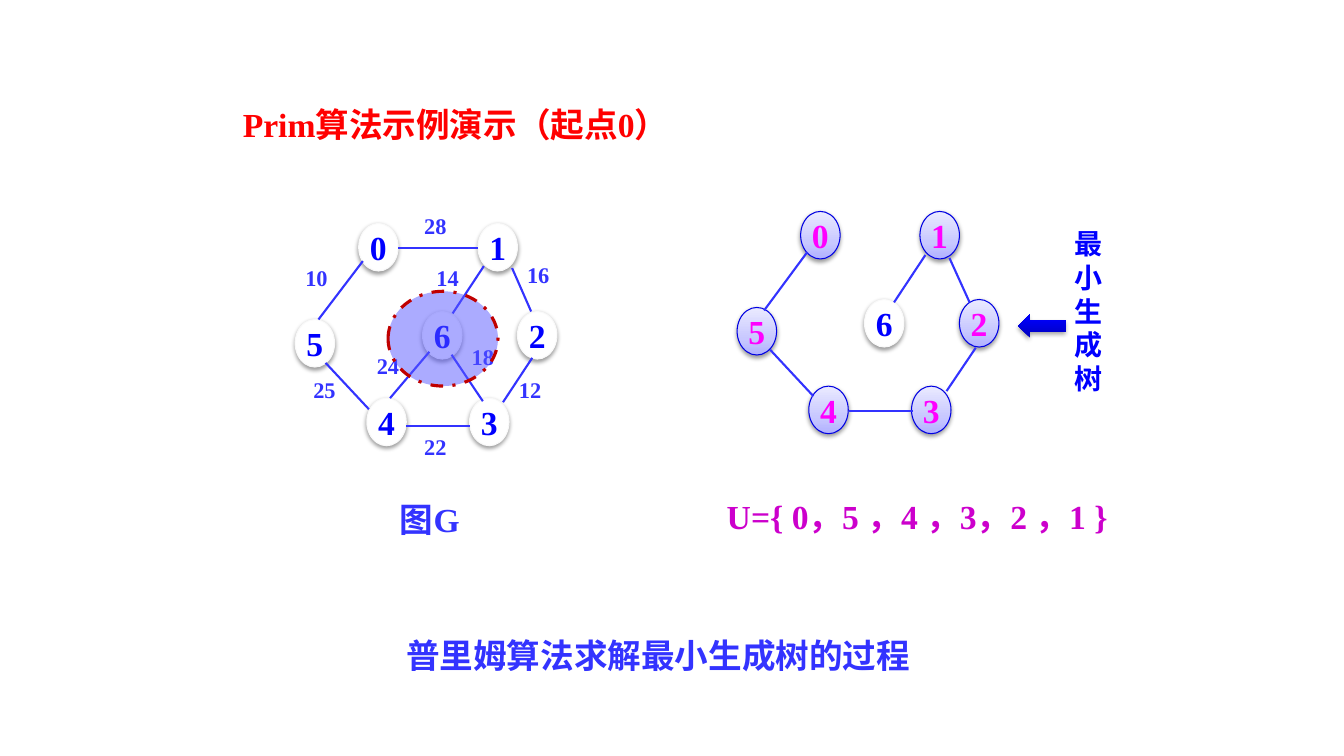
"""Build a slide that shows Prim's algorithm growing a minimum spanning tree."""
from typing import NamedTuple, Optional

import pptx
import pptx.dml.color
import pptx.enum.dml
import pptx.enum.shapes
import pptx.enum.text
import pptx.oxml
import pptx.oxml.ns
import pptx.util

Pt = pptx.util.Pt
SHAPE = pptx.enum.shapes.MSO_SHAPE
ALIGN = pptx.enum.text.PP_ALIGN
ANCHOR = pptx.enum.text.MSO_ANCHOR

FONT = "Times New Roman"
BLUE = "3333FF"
NODE_WIDTH, NODE_HEIGHT = 28.2, 34
TREE_SHIFT = (315.7, -8.6)
DRAWING = pptx.oxml.ns.nsdecls("a")


class Node(NamedTuple):
    name: str
    left: float
    top: float


class Edge(NamedTuple):
    x1: float
    y1: float
    x2: float
    y2: float


class Label(NamedTuple):
    text: str
    left: float
    top: float
    width: float = 39.6
    height: float = 26.6
    size: float = 16
    color: str = BLUE
    inset: Optional[float] = None


class NodeStyle(NamedTuple):
    line: str
    text: str
    stops: tuple


PLAIN = NodeStyle("F9F9F9", "0000FF", ((0, "FFFFFF"), (100, "FFFFFF")))
CHOSEN = NodeStyle("0000E2", "FF00FF", ((0, "B1B1FF"), (35, "C8C8FF"), (100, "EAEAFF")))
ARROW_STOPS = ((0, "0000BE"), (80, "0000F7"), (100, "0000F8"))

NODES = [
    Node("0", 256.2, 159.6), Node("1", 341.4, 159.6), Node("5", 210.8, 228.2),
    Node("4", 262, 284.4), Node("3", 335.4, 284.4), Node("6", 301.8, 222.5),
    Node("2", 369.6, 222.5),
]
GRAPH_EDGES = [
    Edge(284.4, 177.1, 341.3, 177.1), Edge(259.2, 186.5, 227.5, 228.2),
    Edge(232.6, 259.2, 263.5, 292.3), Edge(290.2, 304.6, 335.5, 304.6),
    Edge(278.6, 284.4, 306.7, 251.3), Edge(322.6, 253.4, 344.9, 286.6),
    Edge(345.6, 190.1, 323.3, 223.9), Edge(365.8, 191.5, 379.4, 222.5),
    Edge(380.2, 255.6, 359.3, 287.3),
]
TREE_EDGES = [
    Edge(576.7, 180, 545.8, 221.8), Edge(550.1, 249.8, 581, 283),
    Edge(606.2, 293.8, 652.3, 293.8), Edge(697, 248.4, 676.1, 279.4),
    Edge(678.2, 184.3, 692.6, 216), Edge(661, 182.2, 638.6, 216),
]
LABELS = [
    Label("28", 295.9, 148.3), Label("10", 211, 185), Label("16", 369.4, 182.9),
    Label("14", 304.6, 185), Label("25", 216.7, 265), Label("24", 262.1, 247.7),
    Label("18", 329.8, 241.9), Label("22", 295.9, 306), Label("12", 363.6, 265),
    Label("图G", 278.6, 352.8, 73.4, 36, 24),
    Label("普里姆算法求解最小生成树的过程", 283, 450, 388, 36, 24),
    Label("U={ 0，5 ，4 ，3，2 ，1 }", 519.1, 354.2, 281.5, 28.8, 24, "CC00CC", 0),
]


def rgb(color: str) -> pptx.dml.color.RGBColor:
    return pptx.dml.color.RGBColor.from_string(color)


def style(para, size: float, color: str, align=ALIGN.LEFT) -> None:
    para.alignment = align
    para.font.name = FONT
    para.font.size = Pt(size)
    para.font.bold = True
    para.font.color.rgb = rgb(color)


def add_shape(page, kind, left: float, top: float, width: float, height: float):
    shape = page.shapes.add_shape(kind, Pt(left), Pt(top), Pt(width), Pt(height))
    shape.shadow.inherit = False
    return shape


def set_gradient(shape, stops: tuple) -> None:
    marks = "".join(
        f'<a:gs pos="{place * 1000}"><a:srgbClr val="{color}"/></a:gs>' for place, color in stops
    )
    shape.fill.gradient()
    gradient = shape._element.spPr.find(pptx.oxml.ns.qn("a:gradFill"))
    old_stops = gradient.find(pptx.oxml.ns.qn("a:gsLst"))
    gradient.replace(old_stops, pptx.oxml.parse_xml(f"<a:gsLst {DRAWING}>{marks}</a:gsLst>"))
    shape.fill.gradient_angle = 90


def set_shadow(shape, distance: float, opacity: int) -> None:
    effects = shape._element.spPr.find(pptx.oxml.ns.qn("a:effectLst"))
    effects.append(pptx.oxml.parse_xml(
        f'<a:outerShdw {DRAWING} blurRad="{Pt(3.1)}" dist="{Pt(distance)}" dir="5400000" '
        f'rotWithShape="0"><a:srgbClr val="000000"><a:alpha val="{opacity * 1000}"/>'
        "</a:srgbClr></a:outerShdw>"
    ))


def add_node(page, node: Node, look: NodeStyle, shift: tuple = (0, 0)) -> None:
    left, top = node.left + shift[0], node.top + shift[1]
    circle = add_shape(page, SHAPE.OVAL, left, top, NODE_WIDTH, NODE_HEIGHT)
    set_gradient(circle, look.stops)
    circle.line.color.rgb = rgb(look.line)
    circle.line.width = Pt(0.75)
    set_shadow(circle, 1.6, 38)
    circle.text_frame.word_wrap = False
    circle.text_frame.vertical_anchor = ANCHOR.MIDDLE
    circle.text_frame.text = node.name
    style(circle.text_frame.paragraphs[0], 24, look.text, ALIGN.CENTER)


def add_edge(page, edge: Edge) -> None:
    line = page.shapes.add_connector(
        pptx.enum.shapes.MSO_CONNECTOR.STRAIGHT, *(Pt(value) for value in edge)
    )
    line.line.color.rgb = rgb(BLUE)
    line.line.width = Pt(1.5)
    line._element.spPr.append(pptx.oxml.parse_xml(f"<a:effectLst {DRAWING}/>"))


def add_label(page, label: Label) -> None:
    box = page.shapes.add_textbox(*(Pt(value) for value in label[1:5]))
    frame = box.text_frame
    frame.word_wrap = True
    if label.inset is not None:
        frame.margin_left = frame.margin_right = Pt(label.inset)
        frame.margin_top = frame.margin_bottom = Pt(label.inset)
    frame.text = label.text
    style(frame.paragraphs[0], label.size, label.color)


def add_title(page) -> None:
    title = page.shapes.title
    title.left, title.top, title.width, title.height = Pt(159.1), Pt(70.6), Pt(332.6), Pt(36)
    title.text_frame.word_wrap = True
    title.text_frame.auto_size = pptx.enum.text.MSO_AUTO_SIZE.NONE
    title.text_frame.vertical_anchor = ANCHOR.TOP
    title.text_frame.text = "Prim算法示例演示（起点0）"
    style(title.text_frame.paragraphs[0], 24, "FF0000", ALIGN.CENTER)


def add_highlight(page) -> None:
    halo = add_shape(page, SHAPE.OVAL, 277.2, 208.1, 78.5, 67.7)
    halo.fill.solid()
    halo.fill.fore_color.rgb = rgb("5858FF")
    color = halo._element.spPr.find(".//" + pptx.oxml.ns.qn("a:srgbClr"))
    color.append(pptx.oxml.parse_xml(f'<a:alpha {DRAWING} val="50000"/>'))
    halo.line.color.rgb = rgb("C00000")
    halo.line.width = Pt(2.25)
    halo.line.dash_style = pptx.enum.dml.MSO_LINE.DASH_DOT


def add_tree_caption(page) -> None:
    box = page.shapes.add_textbox(Pt(759.6), Pt(168.5), Pt(35.3), Pt(127.4))
    box.text_frame.word_wrap = True
    box.text_frame.text = "\n".join("最小生成树")
    for para in box.text_frame.paragraphs:
        style(para, 20, "0000FF", ALIGN.CENTER)
        para.line_spacing = Pt(14)
        para.space_before = Pt(10)
    arrow = add_shape(page, SHAPE.LEFT_ARROW, 727.4, 224.6, 33.8, 16.6)
    set_gradient(arrow, ARROW_STOPS)
    arrow.line.fill.background()
    set_shadow(arrow, 1.8, 35)


def main() -> None:
    deck = pptx.Presentation()
    deck.slide_width, deck.slide_height = Pt(960), Pt(540)
    page = deck.slides.add_slide(deck.slide_layouts.get_by_name("Title Only"))
    add_title(page)
    for node in NODES:
        add_node(page, node, PLAIN)
        add_node(page, node, PLAIN if node.name == "6" else CHOSEN, TREE_SHIFT)
    for edge in GRAPH_EDGES + TREE_EDGES:
        add_edge(page, edge)
    for label in LABELS:
        add_label(page, label)
    add_highlight(page)
    add_tree_caption(page)
    deck.save("out.pptx")


if __name__ == "__main__":
    main()
